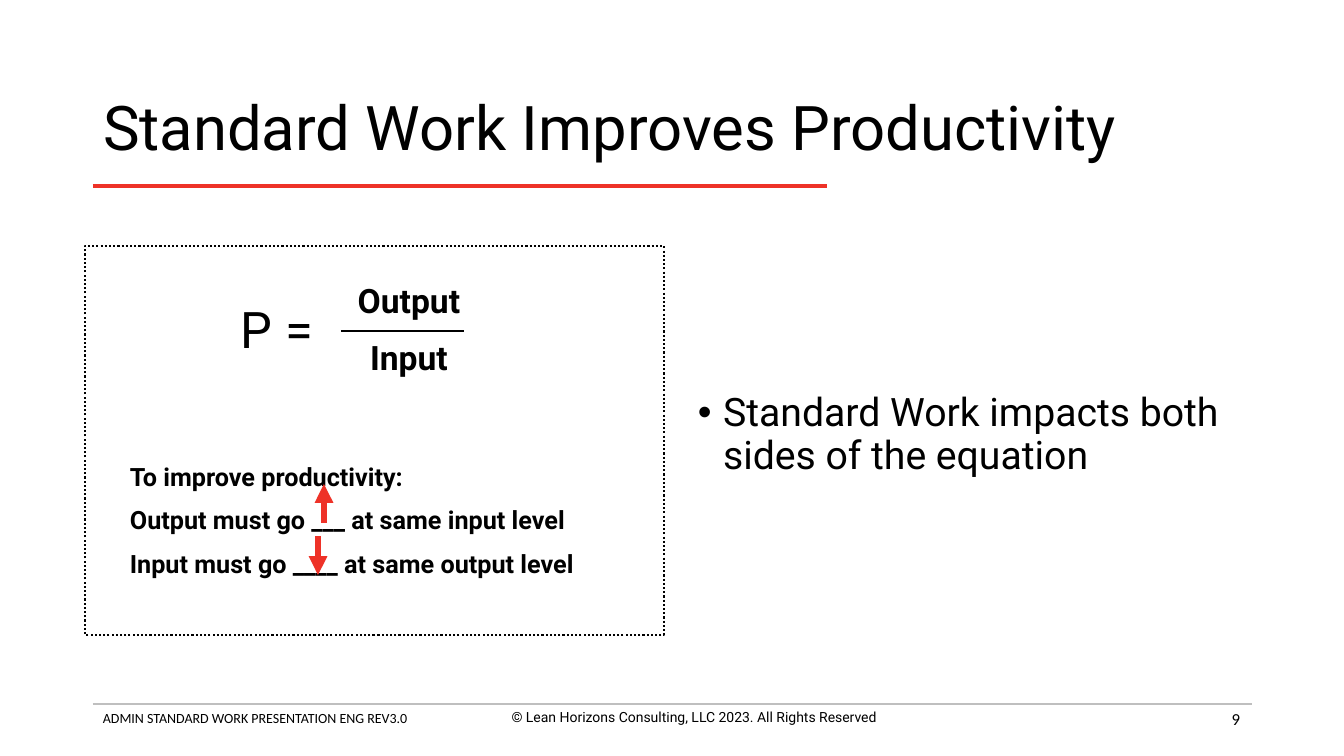
"""Builds the slide on how standard work improves productivity."""
from lxml.etree import SubElement
from pptx import Presentation
from pptx.dml.color import RGBColor
from pptx.enum.dml import MSO_LINE
from pptx.enum.shapes import MSO_CONNECTOR, MSO_SHAPE
from pptx.enum.text import MSO_ANCHOR, PP_ALIGN
from pptx.oxml.ns import qn
from pptx.util import Emu, Pt

BLACK = RGBColor(0x00, 0x00, 0x00)
RED = RGBColor(0xEE, 0x32, 0x28)
GRAY = RGBColor(0xBF, 0xBF, 0xBF)
LEFT, CENTER, RIGHT = PP_ALIGN.LEFT, PP_ALIGN.CENTER, PP_ALIGN.RIGHT
TOP, MIDDLE = MSO_ANCHOR.TOP, MSO_ANCHOR.MIDDLE

TITLE = "Standard Work Improves Productivity"
TITLE_BOX = (93, 75, 1159, 111)
TAKEAWAY = "Standard Work impacts both sides of the equation"
TAKEAWAY_BOX = (688, 388, 572, 106)
EQUATION_FRAME = (85, 246, 579, 389)

TEXTS = [
    (["ADMIN STANDARD WORK PRESENTATION ENG REV3.0"],
     (93, 705, 460, 44), "Calibri", 10, False, LEFT, TOP, 0),
    (["© Lean Horizons Consulting, LLC 2023. All Rights Reserved"],
     (464, 704, 460, 44), "Roboto", 10, False, CENTER, TOP, 0),
    (["9"], (948, 699, 302, 40), "Calibri", 12, False, RIGHT, MIDDLE, 0),
    (["P ="], (231, 293, 134, 71), "Roboto", 36, False, LEFT, TOP, 0),
    (["Output", "Input"], (334, 275, 150, 106), "Roboto", 24, True, CENTER, TOP, 12),
    (["To improve productivity:",
      "Output must go ___ at same input level",
      "Input must go ____ at same output level"],
     (120, 456, 531, 131), "Roboto", 18, True, LEFT, TOP, 9.5),
]

LINES = [
    ((93, 704), (1252, 704), GRAY, 2, False),
    ((93, 186), (827, 186), RED, 3, False),
    ((341, 331), (464, 331), BLACK, 1, False),
    ((324, 523), (324, 484), RED, 4.5, True),
    ((318, 536), (318, 575), RED, 4.5, True),
]


def px(length):
    return Emu(round(length * 914400 / 100.8))


def place(part, box):
    part.left, part.top, part.width, part.height = map(px, box)


def add_run(paragraph, text, font, size, bold=False):
    run = paragraph.add_run()
    run.text = text
    run.font.name, run.font.size, run.font.bold = font, Pt(size), bold
    run.font.color.rgb = BLACK


def add_text(slide, lines, box, font, size, bold, align, anchor, gap):
    frame = slide.shapes.add_textbox(*map(px, box)).text_frame
    frame.word_wrap = True
    frame.vertical_anchor = anchor
    for index, line in enumerate(lines):
        paragraph = frame.add_paragraph() if index else frame.paragraphs[0]
        paragraph.alignment = align
        if index:
            paragraph.space_before = Pt(gap)
        add_run(paragraph, line, font, size, bold)
    return frame


def add_line(slide, start, end, color, weight, arrow):
    connector = slide.shapes.add_connector(
        MSO_CONNECTOR.STRAIGHT, *map(px, start + end))
    connector.line.color.rgb = color
    connector.line.width = Pt(weight)
    if arrow:
        SubElement(connector.line._get_or_add_ln(), qn("a:tailEnd"), type="triangle")
    SubElement(connector._element.spPr, qn("a:effectLst"))


def add_title(slide):
    title = slide.shapes.title
    place(title, TITLE_BOX)
    title.text_frame.word_wrap = True
    title.text_frame.vertical_anchor = MIDDLE
    paragraph = title.text_frame.paragraphs[0]
    paragraph.alignment = LEFT
    paragraph.line_spacing = 0.9
    add_run(paragraph, TITLE, "Roboto", 44)


def add_equation_frame(slide):
    frame = slide.shapes.add_shape(MSO_SHAPE.RECTANGLE, *map(px, EQUATION_FRAME))
    frame.shadow.inherit = False
    frame.fill.background()
    frame.line.color.rgb = BLACK
    frame.line.width = Pt(1.5)
    frame.line.dash_style = MSO_LINE.ROUND_DOT


def add_takeaway(slide):
    frame = add_text(slide, [TAKEAWAY], TAKEAWAY_BOX, "Roboto", 28, False, LEFT, TOP, 0)
    paragraph = frame.paragraphs[0]
    paragraph.line_spacing = 0.9
    properties = paragraph._p.get_or_add_pPr()
    properties.set("marL", str(Pt(18)))
    properties.set("indent", str(-Pt(18)))
    SubElement(properties, qn("a:buFont"), typeface="Arial")
    SubElement(properties, qn("a:buChar"), char="•")


def main():
    deck = Presentation()
    deck.slide_width, deck.slide_height = px(1344), px(756)
    slide = deck.slides.add_slide(deck.slide_layouts[5])
    add_title(slide)
    add_equation_frame(slide)
    add_takeaway(slide)
    for text in TEXTS:
        add_text(slide, *text)
    for line in LINES:
        add_line(slide, *line)
    deck.save("out.pptx")


if __name__ == "__main__":
    main()
